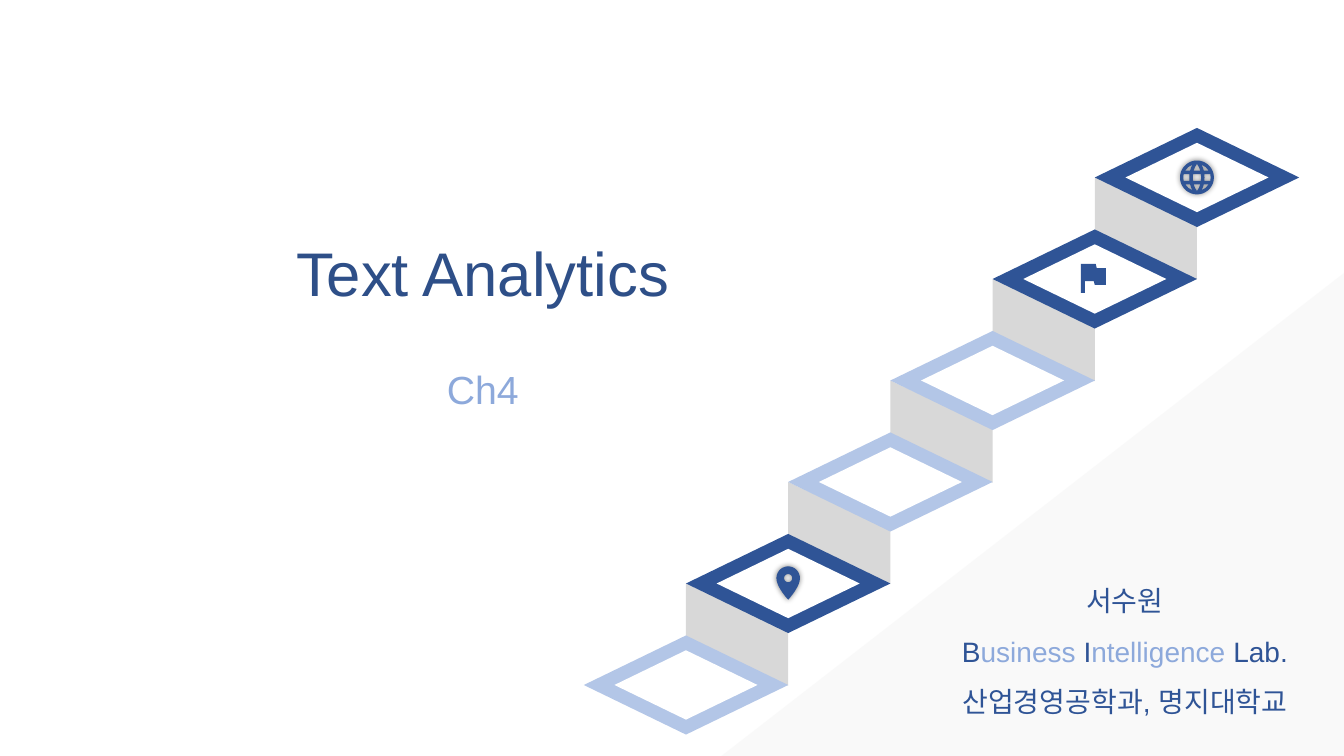
import math
from dataclasses import dataclass

import pptx
import pptx.dml.color
import pptx.enum.shapes
import pptx.enum.text
import pptx.oxml
import pptx.oxml.ns
import pptx.util

Pt = pptx.util.Pt
SHAPE = pptx.enum.shapes.MSO_SHAPE
NS = pptx.oxml.ns.nsdecls("a")


@dataclass(frozen=True)
class Theme:
    dark: str = "2F5496"
    head: str = "2E4F88"
    mid: str = "8DA9DB"
    light: str = "B3C6E7"
    riser: str = "D8D8D8"
    pale: str = "F2F2F2"
    white: str = "FFFFFF"
    font: str = "Arial"
    title: int = 44
    sub: int = 28
    body: int = 20


THEME = Theme()

# Staircase: first tile's left, last tile's top, and the step between tiles
LEFT, TOP, RUN, RISE = 417, 91.4, 73, 72.5
WIDE, HIGH = 146, 70.8
INNER = 0.7
TILES = [THEME.light, THEME.dark, THEME.light, THEME.light, THEME.dark, THEME.dark]


def rgb(color):
    return pptx.dml.color.RGBColor.from_string(color)


def paint(shape, color):
    shape.shadow.inherit = False
    shape.fill.solid()
    shape.fill.fore_color.rgb = rgb(color)
    shape.line.fill.background()


def block(slide, kind, box, color):
    shape = slide.shapes.add_shape(kind, *map(Pt, box))
    paint(shape, color)
    return shape


def corner(slide):
    shape = block(slide, SHAPE.RIGHT_TRIANGLE, (515.3, 195, 444.7, 345), THEME.pale)
    shape.element.spPr.xfrm.set("flipH", "1")
    tint = shape.element.spPr.find(".//" + pptx.oxml.ns.qn("a:srgbClr"))
    tint.append(pptx.oxml.parse_xml(f'<a:alpha {NS} val="40000"/>'))


def middle(step):
    """Centre of the tile on a step, counted from the bottom."""
    rows = len(TILES) - 1 - step
    return LEFT + RUN * step + WIDE / 2, TOP + RISE * rows + HIGH / 2


def riser(slide, step):
    x, y = middle(step)
    shape = block(slide, SHAPE.PARALLELOGRAM, (x - RUN, y, RUN, RUN), THEME.riser)
    shape.adjustments[0] = 0.469
    shape.rotation = 270


def tile(slide, step, color):
    x, y = middle(step)
    for size, fill in ((1, color), (INNER, THEME.white)):
        w, h = WIDE * size, HIGH * size
        block(slide, SHAPE.DIAMOND, (x - w / 2, y - h / 2, w, h), fill)


# Outlines, in points from the tile's centre
def ring(radius, y=0, start=0, end=360):
    angles = [math.radians(a) for a in range(start, end + 1, 10)]
    return [(radius * math.cos(a), y + radius * math.sin(a)) for a in angles]


def flip(points, sx, sy):
    return [(x * sx, y * sy) for x, y in points]


def pin():
    # Each side is a curve from the head (8.4, -3.8) to the tip (0, 11.6)
    side = []
    for n in range(1, 11):
        t = n / 10
        u = 1 - t
        side.append((8.4 * (u**3 + 3 * u * u * t),
                     -3.8 * u**3 + 8.1 * u * u * t + 11.6 * (3 * u * t * t + t**3)))
    outer = ring(8.4, -3.8, 180, 360) + side + flip(side[::-1], -1, 1)
    return [outer, ring(2.9, -3.8)]


def globe():
    bar = [(5.3, -2.4), (9.5, -2.4), (9.8, 0), (9.5, 2.4), (5.3, 2.4), (5.4, 0)]
    core = [(-2.8, -2.4), (2.8, -2.4), (3, 0), (2.8, 2.4), (-2.8, 2.4), (-3, 0)]
    cap = [(0, -9.7), (1.4, -7.4), (2.4, -4.9), (-2.4, -4.9), (-1.4, -7.4)]
    edge = [(8.4, -4.9), (4.9, -4.9), (4.2, -7.1), (3.2, -9.1), (6.1, -7.5)]
    holes = [core, bar, flip(bar, -1, 1), cap, flip(cap, 1, -1)]
    holes += [flip(edge, sx, sy) for sx in (1, -1) for sy in (1, -1)]
    return [ring(12.1)] + holes


def flag():
    return [[(1.4, -7.7), (0.7, -10.7), (-10, -10.7), (-10, 10), (-7, 10), (-7, 1.5),
             (-0.7, 1.5), (0, 4.2), (8, 4.2), (8, -7.7)]]


def icon(slide, step, loops, glow=True):
    cx, cy = middle(step)
    # Local units are hundredths of a point
    loops = [[((cx + x) * 100, (cy + y) * 100) for x, y in loop] for loop in loops]
    pen = slide.shapes.build_freeform(*loops[0][0], scale=Pt(1) / 100)
    pen.add_line_segments(loops[0][1:])
    for loop in loops[1:]:
        pen.move_to(*loop[0])
        pen.add_line_segments(loop[1:])
    shape = pen.convert_to_shape()
    paint(shape, THEME.dark)
    if glow:
        effect = shape.element.spPr.find(pptx.oxml.ns.qn("a:effectLst"))
        effect.append(pptx.oxml.parse_xml(
            f'<a:outerShdw {NS} blurRad="{Pt(4)}" dist="0"><a:srgbClr val="000000">'
            '<a:alpha val="45000"/></a:srgbClr></a:outerShdw>'))


def write(shape, box, lines, size, gap=None):
    """Fill a text shape; each line is a list of (text, colour) runs."""
    shape.left, shape.top, shape.width, shape.height = map(Pt, box)
    frame = shape.text_frame
    frame.word_wrap = True
    frame.auto_size = pptx.enum.text.MSO_AUTO_SIZE.NONE
    frame.vertical_anchor = pptx.enum.text.MSO_ANCHOR.MIDDLE
    frame.margin_left = frame.margin_right = frame.margin_top = frame.margin_bottom = 0
    for n, runs in enumerate(lines):
        para = frame.add_paragraph() if n else frame.paragraphs[0]
        para.alignment = pptx.enum.text.PP_ALIGN.CENTER
        para.font.name = THEME.font
        para.font.size = Pt(size)
        if gap:
            para.line_spacing = gap
        for text, color in runs:
            run = para.add_run()
            run.text = text
            run.font.color.rgb = rgb(color)


def label(slide, box, *rest):
    write(slide.shapes.add_textbox(*map(Pt, box)), box, *rest)


def main():
    deck = pptx.Presentation()
    deck.slide_width, deck.slide_height = Pt(960), Pt(540)
    slide = deck.slides.add_slide(deck.slide_layouts[5])

    # Background and staircase
    corner(slide)
    for step in range(1, len(TILES)):
        riser(slide, step)
    for step, color in enumerate(TILES):
        tile(slide, step, color)

    # Icons
    icon(slide, 1, pin())
    icon(slide, 4, flag(), glow=False)
    icon(slide, 5, globe())

    # Title, chapter and author
    dark, mid = THEME.dark, THEME.mid
    write(slide.shapes.title, (32.4, 168, 625, 53),
          [[("Text Analytics", THEME.head)]], THEME.title)
    label(slide, (32.4, 260.6, 625, 34), [[("Ch4", mid)]], THEME.sub)
    label(slide, (671, 404.6, 265, 108.7), [
        [("서수원", dark)],
        [("B", dark), ("usiness ", mid), ("I", dark), ("ntelligence ", mid), ("Lab.", dark)],
        [("산업경영공학과, 명지대학교", dark)],
    ], THEME.body, 1.5)

    deck.save("out.pptx")


if __name__ == "__main__":
    main()
